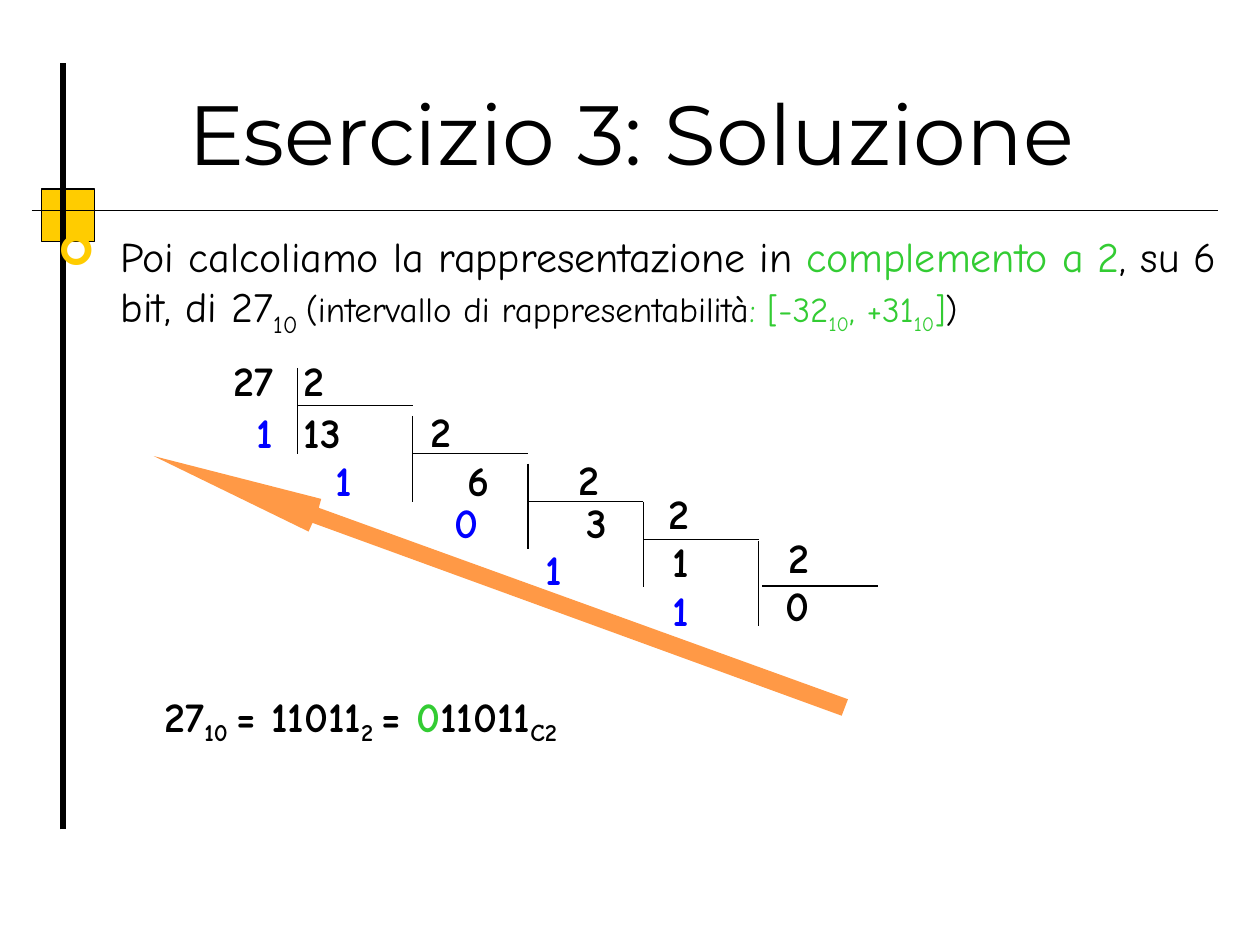
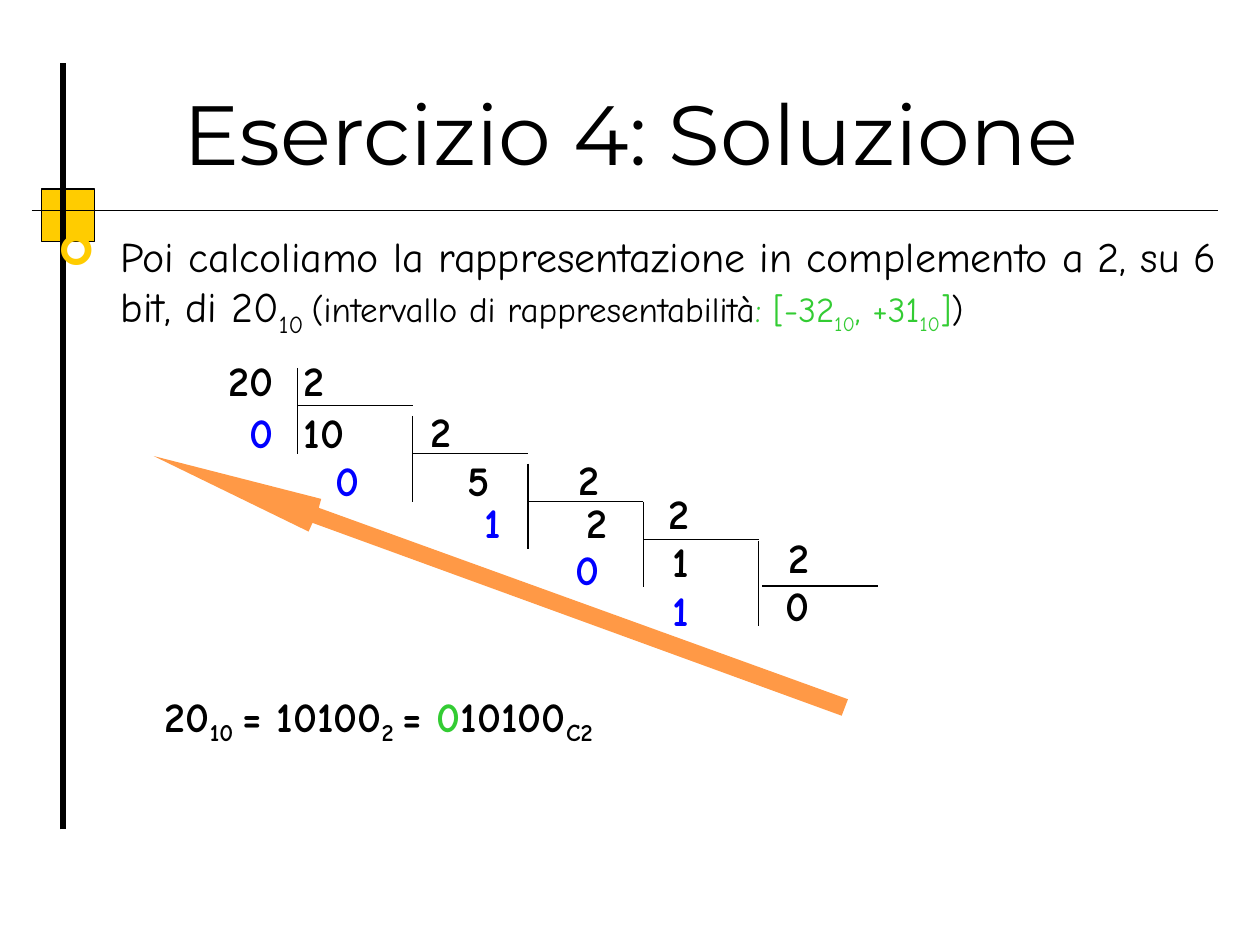
from lxml.etree import SubElement
from pptx import Presentation
from pptx.dml.color import RGBColor
from pptx.enum.shapes import MSO_CONNECTOR, MSO_SHAPE
from pptx.enum.text import MSO_ANCHOR, PP_ALIGN
from pptx.oxml.ns import qn
from pptx.util import Pt

BLACK, GREEN, BLUE = "000000", "33CC33", "0000FF"
GOLD, ORANGE = "FFCC00", "FF9946"
TITLE_FONT, TEXT_FONT, BULLET_FONT = "Montserrat", "Comic Neue", "Wingdings"
ROW_PITCH, ROW_GAP = 26.4, 1.2
STEP_WIDTH, STEP_HEIGHT = 65.9, 49
# Top of the vertical bar and height of the horizontal bar of each division
DIVISION_BARS = [(210.2, 231.8), (237.6, 259.2), (265, 286.6), (286.6, 308.2), (308.9, 334.8)]
ARROW_OUTLINE = [(87.8, 260.6), (176.4, 303.8), (178.6, 298.8), (481, 409),
                 (484.6, 399.6), (182.2, 290.2), (183.6, 285.1)]


def rgb(color):
    return RGBColor.from_string(color)


def add_run(paragraph, text, size=24, color=BLACK, font=TEXT_FONT, bold=False, baseline=0):
    """Append formatted text; baseline is a percentage, negative for subscripts."""
    run = paragraph.add_run()
    run.text = text
    run.font.size = Pt(size)
    run.font.name = font
    run.font.bold = bold
    run.font.color.rgb = rgb(color)
    if baseline:
        run._r.get_or_add_rPr().set("baseline", str(baseline * 1000))


class Deck:
    """Holds the presentation, its shared style and the current slide."""

    def __init__(self):
        self.presentation = Presentation()
        self.presentation.slide_width = Pt(720)
        self.presentation.slide_height = Pt(540)
        self.slide = None

    def new_slide(self, title):
        self.slide = self.presentation.slides.add_slide(self.presentation.slide_layouts[6])
        self.square(23.8, 108, 30.2)
        self.line(36, 474, 36, 36, width=3)
        self.line(18, 120.2, 696.2, 120.2)
        frame = self.text_box(31.7, 18, 658, 90, margins=(7.2, 3.6))
        frame.vertical_anchor = MSO_ANCHOR.BOTTOM
        paragraph = self.paragraph(frame, align=PP_ALIGN.CENTER)
        add_run(paragraph, title, size=48, font=TITLE_FONT)

    def square(self, left, top, side):
        shape = self.slide.shapes.add_shape(
            MSO_SHAPE.RECTANGLE, Pt(left), Pt(top), Pt(side), Pt(side))
        shape.shadow.inherit = False
        shape.fill.solid()
        shape.fill.fore_color.rgb = rgb(GOLD)
        shape.line.color.rgb = rgb(BLACK)
        shape.line.width = Pt(0.75)

    def line(self, x1, y1, x2, y2, width=0.75):
        connector = self.slide.shapes.add_connector(
            MSO_CONNECTOR.STRAIGHT, Pt(x1), Pt(y1), Pt(x2), Pt(y2))
        connector.line.color.rgb = rgb(BLACK)
        connector.line.width = Pt(width)
        SubElement(connector._element.spPr, qn("a:effectLst"))

    def polygon(self, points, color):
        start, *others = [(Pt(x), Pt(y)) for x, y in points]
        builder = self.slide.shapes.build_freeform(*start)
        builder.add_line_segments(others, close=True)
        shape = builder.convert_to_shape()
        shape.shadow.inherit = False
        shape.fill.solid()
        shape.fill.fore_color.rgb = rgb(color)
        shape.line.fill.background()

    def text_box(self, left, top, width, height, margins=(0, 0)):
        """Add a wrapping text box; margins are horizontal and vertical."""
        box = self.slide.shapes.add_textbox(Pt(left), Pt(top), Pt(width), Pt(height))
        frame = box.text_frame
        frame.word_wrap = True
        frame.margin_left = frame.margin_right = Pt(margins[0])
        frame.margin_top = frame.margin_bottom = Pt(margins[1])
        return frame

    def paragraph(self, frame, align=PP_ALIGN.LEFT, indent=0, hanging=0, bullet=None,
                  pitch=None, before=0):
        """Use the empty first paragraph or add one."""
        first = frame.paragraphs[0]
        paragraph = frame.add_paragraph() if first.runs else first
        paragraph.alignment = align
        if pitch:
            paragraph.line_spacing = Pt(pitch)
        if before:
            paragraph.space_before = Pt(before)
        properties = paragraph._p.get_or_add_pPr()
        properties.set("marL", str(Pt(indent)))
        properties.set("indent", str(Pt(-hanging)))
        if bullet:
            bullet_color = SubElement(properties, qn("a:buClr"))
            SubElement(bullet_color, qn("a:srgbClr"), val=GOLD)
            SubElement(properties, qn("a:buFont"), typeface=BULLET_FONT)
            SubElement(properties, qn("a:buChar"), char=bullet)
        return paragraph

    def task(self, pieces):
        frame = self.text_box(0, 128.2, 720, 335, margins=(7.2, 3.6))
        paragraph = self.paragraph(frame, indent=61.9, hanging=36, bullet="➢")
        for text, options in pieces:
            add_run(paragraph, text, **options)

    def number_column(self, left, top, width, height, numbers, pitch=None):
        """Stack right-aligned (number, colour) pairs."""
        frame = self.text_box(left, top, width, height)
        for index, (number, color) in enumerate(numbers):
            paragraph = self.paragraph(frame, PP_ALIGN.RIGHT, pitch=pitch if index else None,
                                       before=ROW_GAP if index else 0)
            add_run(paragraph, str(number), color=color, bold=True)

    def number_stairs(self, top, height, steps):
        """Stack (number, colour, indent, pitch, space before) steps."""
        frame = self.text_box(172.8, top, 317.5, height)
        for number, color, indent, pitch, before in steps:
            paragraph = self.paragraph(frame, indent=indent, pitch=pitch, before=before)
            add_run(paragraph, str(number), color=color, bold=True)

    def division_bars(self):
        for step, (top, middle) in enumerate(DIVISION_BARS):
            left = 169.9 + step * STEP_WIDTH
            gap = 2.2 if step == len(DIVISION_BARS) - 1 else 0
            self.line(left, top, left, top + STEP_HEIGHT)
            self.line(left + gap, middle, left + gap + STEP_WIDTH, middle)

    def divisions(self, value, shift):
        """Divide value by 2 down to 0; shift moves the third and fourth remainders."""
        quotients = [value >> step for step in range(1, 6)]
        remainders = [(value >> step) % 2 for step in range(5)]
        self.division_bars()
        self.number_column(108.7, 202.3, 47.5, 59, [(value, BLACK), (remainders[0], BLUE)])
        self.number_stairs(202.3, 138.2, [
            (2, BLACK, 0.7, None, 0),
            (quotients[0], BLACK, 0.7, None, ROW_GAP),
            (remainders[1], BLUE, 18.7, ROW_PITCH, ROW_GAP),
            (remainders[2], BLUE, 87 + shift, 24, 0),
            (remainders[3], BLUE, 139 + shift, ROW_PITCH, 0),
        ])
        self.number_stairs(232, 82, [
            (2, BLACK, 73.4, None, 0),
            (quotients[1], BLACK, 94.2, ROW_PITCH, ROW_GAP),
            (quotients[2], BLACK, 162.3, 24, 0),
        ])
        self.number_stairs(261.7, 28, [(2, BLACK, 157.7, ROW_PITCH, 0)])
        self.number_column(377.3, 278.6, 16.6, 113,
                           [(2, BLACK), (quotients[3], BLACK), (remainders[4], BLUE)], ROW_PITCH)
        self.polygon(ARROW_OUTLINE, ORANGE)
        self.number_column(445.7, 303.8, 16.6, 113, [(2, BLACK), (quotients[4], BLACK)],
                           ROW_PITCH)

    def result(self, value):
        frame = self.text_box(93.6, 394.6, 626.4, 28.8)
        paragraph = self.paragraph(frame, indent=0.7)
        bits = f"{value:b}"
        for text, color, baseline in [
                (str(value), BLACK, 0), ("10 ", BLACK, -21), (f"= {bits}", BLACK, 0),
                ("2 ", BLACK, -21), ("= ", BLACK, 0), ("0", GREEN, 0),
                (bits, BLACK, 0), ("C2", BLACK, -21)]:
            add_run(paragraph, text, color=color, bold=True, baseline=baseline)


def add_solution(deck, exercise, value, term_color, shift):
    small_green = dict(size=20, color=GREEN)
    green_subscript = dict(small_green, baseline=-25)
    deck.new_slide(f"Esercizio {exercise}: Soluzione")
    deck.task([
        ("Poi calcoliamo la rappresentazione in ", {}),
        ("complemento a 2", dict(color=term_color)),
        (f", su 6 bit, di {value}", {}),
        ("10 ", dict(baseline=-25)),
        ("(intervallo di rappresentabilità", dict(size=20)),
        (": [-32", small_green),
        ("10", green_subscript),
        (", +31", small_green),
        ("10", green_subscript),
        ("]", small_green),
        (")", dict(size=20)),
    ])
    deck.divisions(value, shift)
    deck.result(value)


def main():
    deck = Deck()
    add_solution(deck, exercise=3, value=27, term_color=GREEN, shift=0)
    add_solution(deck, exercise=4, value=20, term_color=BLACK, shift=17)
    deck.presentation.save("out.pptx")


if __name__ == "__main__":
    main()
